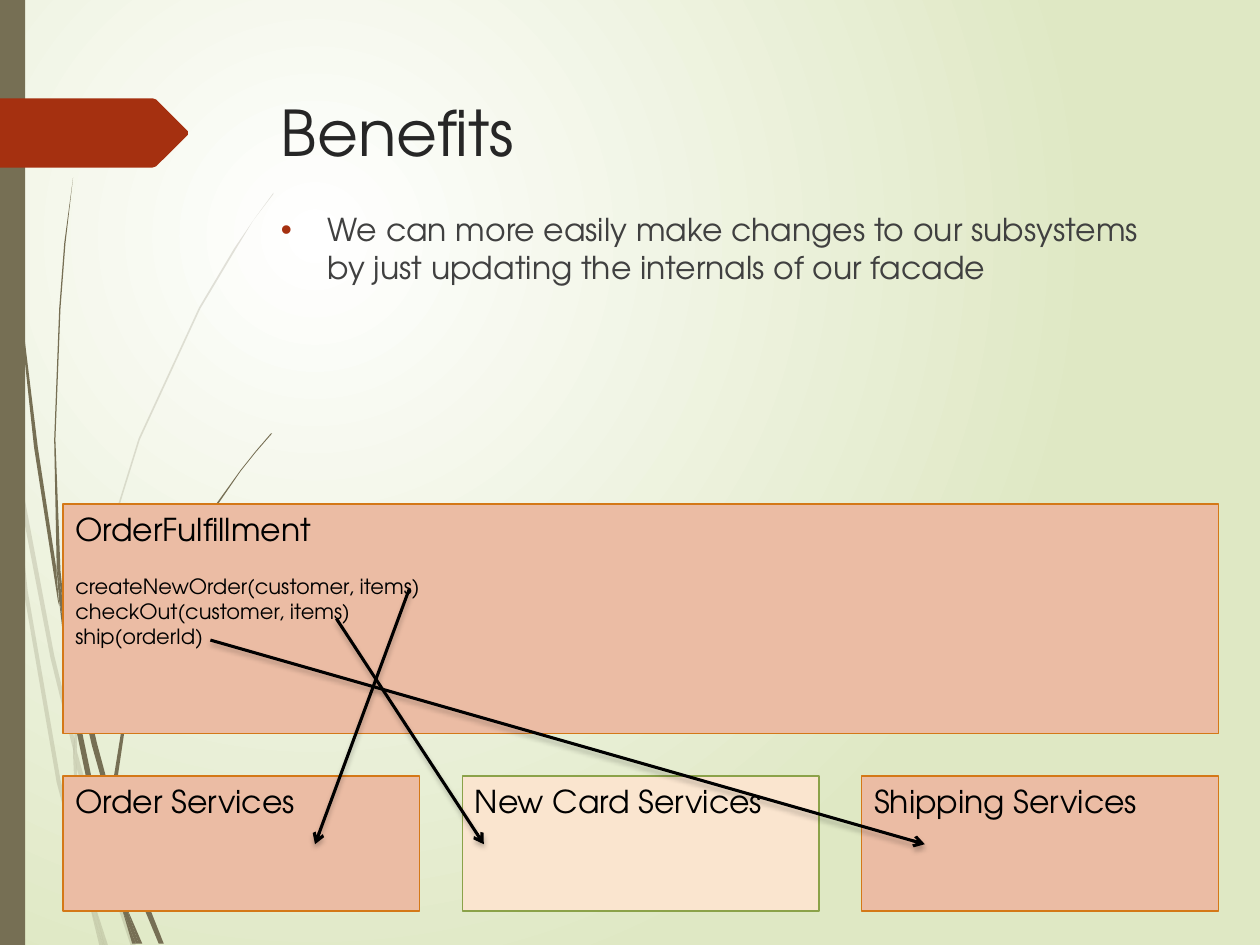
from dataclasses import dataclass

from pptx import Presentation
from pptx.dml.color import RGBColor
from pptx.enum.shapes import MSO_CONNECTOR, MSO_SHAPE
from pptx.enum.text import MSO_ANCHOR, MSO_AUTO_SIZE, PP_ALIGN
from pptx.oxml import parse_xml
from pptx.oxml.ns import nsdecls, qn
from pptx.util import Inches, Pt

RECT, STRAIGHT = MSO_SHAPE.RECTANGLE, MSO_CONNECTOR.STRAIGHT
TOP, LEFT, NO_FIT = MSO_ANCHOR.TOP, PP_ALIGN.LEFT, MSO_AUTO_SIZE.NONE


@dataclass(frozen=True)
class Theme:
    """Colours, font and type sizes of the slide."""
    font: str = "TeX Gyre Adventor"
    title_size: int = 36
    text_size: int = 18
    code_size: int = 12
    title: str = "262626"
    body: str = "404040"
    ink: str = "000000"
    white: str = "FFFFFF"
    mist: str = "DFE8C4"
    olive: str = "766F54"
    red: str = "A53010"
    salmon: str = "EBBCA4"
    orange: str = "D47817"
    cream: str = "FAE5CF"
    green: str = "8BA249"


def xml(tag, attrs="", inner=""):
    """Return a DrawingML element."""
    return parse_xml(f"<a:{tag} {nsdecls('a')} {attrs}>{inner}</a:{tag}>")


class Deck:
    """Draw styled elements on the current slide."""

    def __init__(self, prs, theme):
        """Add a title and content slide."""
        self.theme = theme
        self.s = prs.slides.add_slide(prs.slide_layouts[1])

    def background(self, inner, outer):
        """Fill the background with a circular gradient."""
        fill = self.s.background.fill
        fill.gradient()
        for stop, color, position in zip(fill.gradient_stops, (inner, outer), (0, 1)):
            stop.color.rgb = RGBColor.from_string(color)
            stop.position = position
        grad = next(self.s.element.iter(qn("a:gradFill")))
        grad.remove(grad.find(qn("a:lin")))
        rect = '<a:fillToRect l="50000" t="50000" r="100000" b="100000"/>'
        grad.append(xml("path", 'path="circle"', rect))

    def paint(self, shape, fill, line=None):
        """Set fill and outline and drop the shadow."""
        shape.shadow.inherit = False
        shape.fill.solid()
        shape.fill.fore_color.rgb = RGBColor.from_string(fill)
        if line:
            shape.line.color.rgb = RGBColor.from_string(line)
            shape.line.width = Pt(0.75)
        else:
            shape.line.fill.background()

    def outline(self, points, fill, alpha=100):
        """Draw a filled outline."""
        points = [(Inches(x), Inches(y)) for x, y in points]
        builder = self.s.shapes.build_freeform(*points[0])
        builder.add_line_segments(points[1:], close=True)
        sp = builder.convert_to_shape()
        self.paint(sp, fill)
        if alpha < 100:
            color = next(sp.element.spPr.iter(qn("a:srgbClr")))
            color.append(xml("alpha", f'val="{alpha * 1000}"'))

    def rect(self, box, fill, line=None):
        """Add a rectangle."""
        sp = self.s.shapes.add_shape(RECT, *map(Inches, box))
        self.paint(sp, fill, line)
        return sp

    def run(self, p, text, size, color):
        """Add one styled run."""
        r = p.add_run()
        r.text = text
        r.font.name = self.theme.font
        r.font.size = Pt(size)
        r.font.color.rgb = RGBColor.from_string(color)

    def service(self, box, name, fill, line, calls=()):
        """Add a named box with its calls."""
        tf = self.rect(box, fill, line).text_frame
        tf.word_wrap = True
        tf.vertical_anchor = TOP
        p = tf.paragraphs[0]
        p.alignment = LEFT
        self.run(p, name, self.theme.text_size, self.theme.ink)
        for i, call in enumerate(calls):
            p = tf.add_paragraph()
            p.alignment = LEFT
            p.space_before = Pt(0 if i else 14.4)
            self.run(p, call, self.theme.code_size, self.theme.ink)

    def placeholder(self, index, box, text, size, color):
        """Move and fill a placeholder and return its paragraph."""
        ph = self.s.placeholders[index]
        ph.element.getparent().append(ph.element)
        ph.left, ph.top, ph.width, ph.height = map(Inches, box)
        tf = ph.text_frame
        tf.word_wrap = True
        tf.auto_size = NO_FIT
        tf.vertical_anchor = TOP
        p = tf.paragraphs[0]
        p.alignment = LEFT
        self.run(p, text, size, color)
        return p

    def bullet(self, p):
        """Give a paragraph a hanging bullet."""
        p.space_before = Pt(10)
        pPr = p._p.get_or_add_pPr()
        pPr.set("marL", str(Inches(0.37)))
        pPr.set("indent", str(Inches(-0.37)))
        pPr.append(xml("buClr", "", f'<a:srgbClr val="{self.theme.red}"/>'))
        pPr.append(xml("buFont", 'typeface="Arial"'))
        pPr.append(xml("buChar", 'char="•"'))

    def arrow(self, start, end):
        """Add an arrow with a soft shadow."""
        c = self.s.shapes.add_connector(STRAIGHT, *map(Inches, start + end))
        c.line.color.rgb = RGBColor.from_string(self.theme.ink)
        c.line.width = Pt(1.75)
        c.line._get_or_add_ln().append(xml("tailEnd", 'type="arrow"'))
        shadow = (f'<a:outerShdw blurRad="{Pt(3)}" dist="{Pt(2)}" dir="5400000">'
                  f'<a:srgbClr val="{self.theme.ink}"><a:alpha val="25000"/>'
                  '</a:srgbClr></a:outerShdw>')
        c.element.spPr.append(xml("effectLst", "", shadow))


PALE_GRASS = [
    [(0.08, 3.5), (0.06, 3.22), (0, 2.82), (0, 2.99), (0.07, 3.44)],
    [(0.4, 5.22), (0.59, 5.99), (0.59, 5.86), (0.43, 5.2), (0.1, 3.45), (0.12, 3.76)],
    [(0.64, 6.07), (0.61, 5.96), (0.61, 6.1), (0.85, 6.94), (1.04, 7.51),
     (1.08, 7.51), (0.88, 6.92)],
    [(0.83, 7.51), (0.86, 7.51), (0.73, 7.11)],
    [(0.64, 6.83), (0.48, 6.19), (0.22, 4.69), (0.12, 3.76), (0.08, 3.5),
     (0.19, 4.7), (0.45, 6.21), (0.64, 6.93), (0.7, 7.14), (0.69, 7.07)],
    [(0.58, 5.99), (0.6, 6.46), (0.64, 6.83), (0.67, 6.92), (0.73, 7.11),
     (0.72, 7.06), (0.63, 6.46), (0.61, 6.1), (0.61, 6.08)],
    [(0.61, 5.84), (0.76, 4.62), (1.11, 3.49), (1.59, 2.45), (1.87, 1.98),
     (2.01, 1.75), (2.17, 1.54), (2.17, 1.53), (2.01, 1.75), (1.86, 1.97),
     (1.58, 2.44), (1.1, 3.48), (0.75, 4.61), (0.59, 5.84), (0.59, 5.86), (0.61, 5.96)],
    [(0.7, 7.14), (0.79, 7.51), (0.82, 7.51)],
    [(0.61, 6.08), (0.61, 6.1), (0.61, 5.96), (0.59, 5.86), (0.58, 5.99)],
    [(0.67, 6.92), (0.65, 6.83), (0.69, 7.07), (0.7, 7.14), (0.82, 7.51),
     (0.83, 7.51), (0.73, 7.11)],
]
DARK_GRASS = [
    [(0.05, 1.1), (0.14, 2.33), (0.27, 3.55), (0.46, 4.77), (0.47, 4.81),
     (0.45, 4.57), (0.45, 4.53), (0.3, 3.55), (0.15, 2.32), (0.06, 1.09),
     (0.04, 0.48), (0.03, 0), (0.02, 0), (0.03, 0.48)],
    [(0.73, 5.92), (0.88, 6.45), (0.88, 6.33), (0.88, 6.31), (0.77, 5.9),
     (0.5, 4.72), (0.53, 5.05)],
    [(0.94, 6.49), (0.91, 6.41), (0.91, 6.56), (1.09, 7.08), (1.26, 7.49),
     (1.3, 7.49), (1.13, 7.06)],
    [(0.91, 6.91), (0.81, 6.57), (0.6, 5.56), (0.53, 5.05), (0.47, 4.77),
     (0.56, 5.57), (0.77, 6.59), (0.92, 7.08), (0.97, 7.22), (0.96, 7.17)],
    [(0.5, 4.72), (0.48, 4.53), (0.44, 3.49), (0.48, 2.45), (0.52, 1.93),
     (0.58, 1.41), (0.51, 1.93), (0.47, 2.45), (0.43, 3.49), (0.45, 4.49), (0.49, 4.72)],
    [(1.1, 7.49), (1.13, 7.49), (1, 7.19)],
    [(0.47, 4.77), (0.53, 5.05), (0.5, 4.72), (0.49, 4.72), (0.45, 4.49), (0.45, 4.53)],
    [(0.91, 6.33), (1.03, 5.52), (1.31, 4.76), (1.69, 4.06), (1.91, 3.74),
     (2.03, 3.59), (2.16, 3.44), (2.15, 3.44), (2.03, 3.58), (1.91, 3.73),
     (1.68, 4.05), (1.29, 4.74), (1.01, 5.51), (0.88, 6.31), (0.91, 6.41)],
    [(0.97, 7.22), (1.05, 7.49), (1.08, 7.49)],
    [(0.96, 7.06), (0.91, 6.91), (0.96, 7.17), (0.97, 7.22), (1.08, 7.49),
     (1.1, 7.49), (1, 7.19)],
]
TAG = [(1.49, 1.07), (1.24, 1.32), (1.21, 1.33), (0, 1.33), (0, 0.78),
       (1.21, 0.78), (1.24, 0.79), (1.49, 1.04)]
CALLS = ["createNewOrder(customer, items)", "checkOut(customer, items)", "ship(orderId)"]
ARROWS = [((1.67, 5.08), (7.34, 6.7)), ((3.25, 4.67), (2.5, 6.7)),
          ((2.67, 4.91), (3.84, 6.7))]

theme = Theme()
prs = Presentation()
prs.slide_width, prs.slide_height = Inches(10), Inches(7.5)
deck = Deck(prs, theme)
deck.background(theme.white, theme.mist)
for blades, alpha in ((PALE_GRASS, 20), (DARK_GRASS, 100)):
    for blade in blades:
        deck.outline(blade, theme.olive, alpha)
deck.rect((0, 0, 0.2, 7.5), theme.olive)
deck.outline(TAG, theme.red)

deck.placeholder(0, (2.13, 0.69, 7.21, 1.4), "Benefits", theme.title_size, theme.title)
deck.bullet(deck.placeholder(
    1, (2.13, 1.62, 7.21, 4.13),
    "We can more easily make changes to our subsystems by just updating "
    "the internals of our facade", theme.text_size, theme.body))

warm, fresh = (theme.salmon, theme.orange), (theme.cream, theme.green)
services = [("Order Services", warm), ("New Card Services", fresh),
            ("Shipping Services", warm)]
for i, (name, colors) in enumerate(services):
    deck.service((0.5 + 3.17 * i, 6.16, 2.83, 1.07), name, *colors)
deck.service((0.5, 4, 9.17, 1.82), "OrderFulfillment", *warm, CALLS)
for start, end in ARROWS:
    deck.arrow(start, end)
prs.save("out.pptx")
